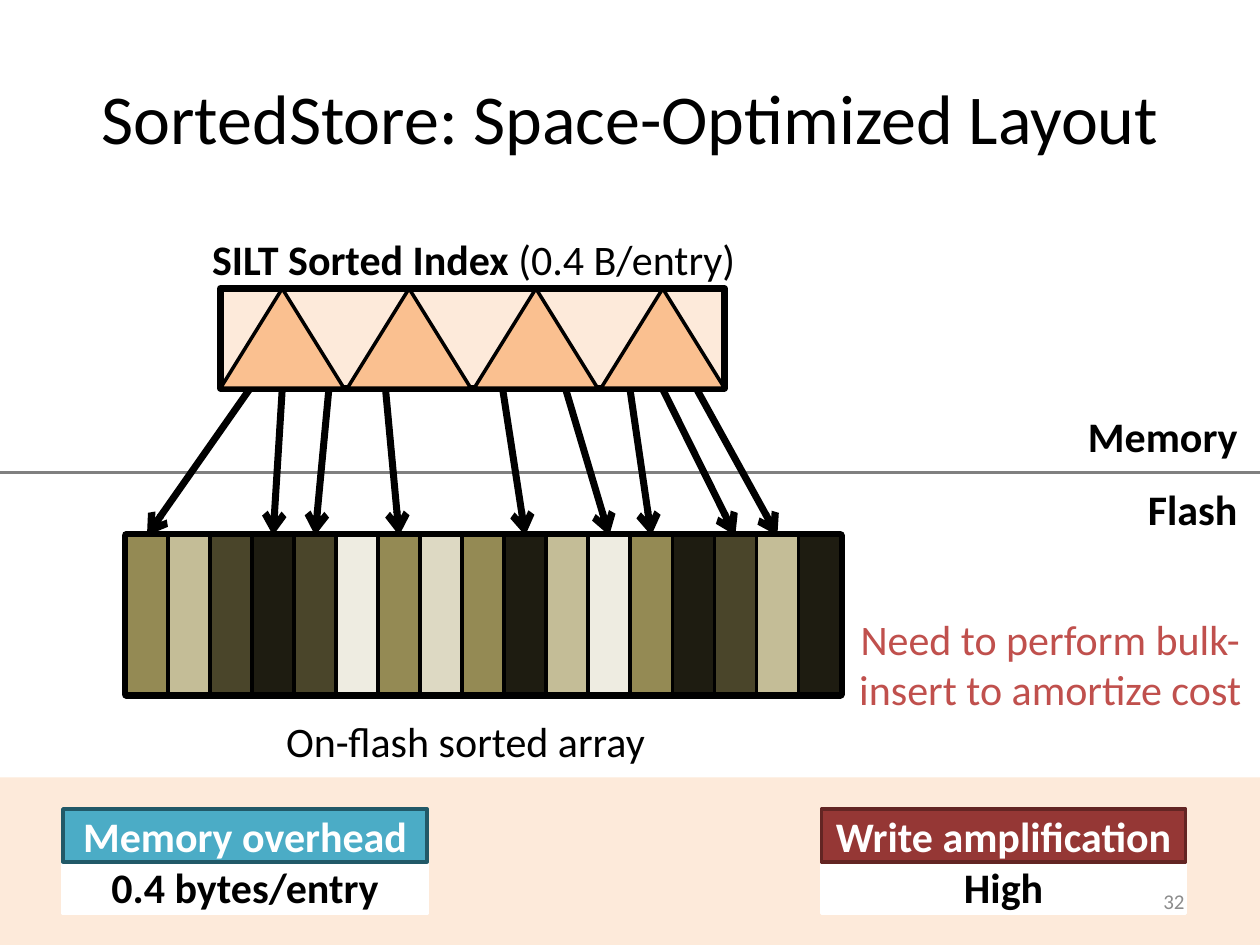
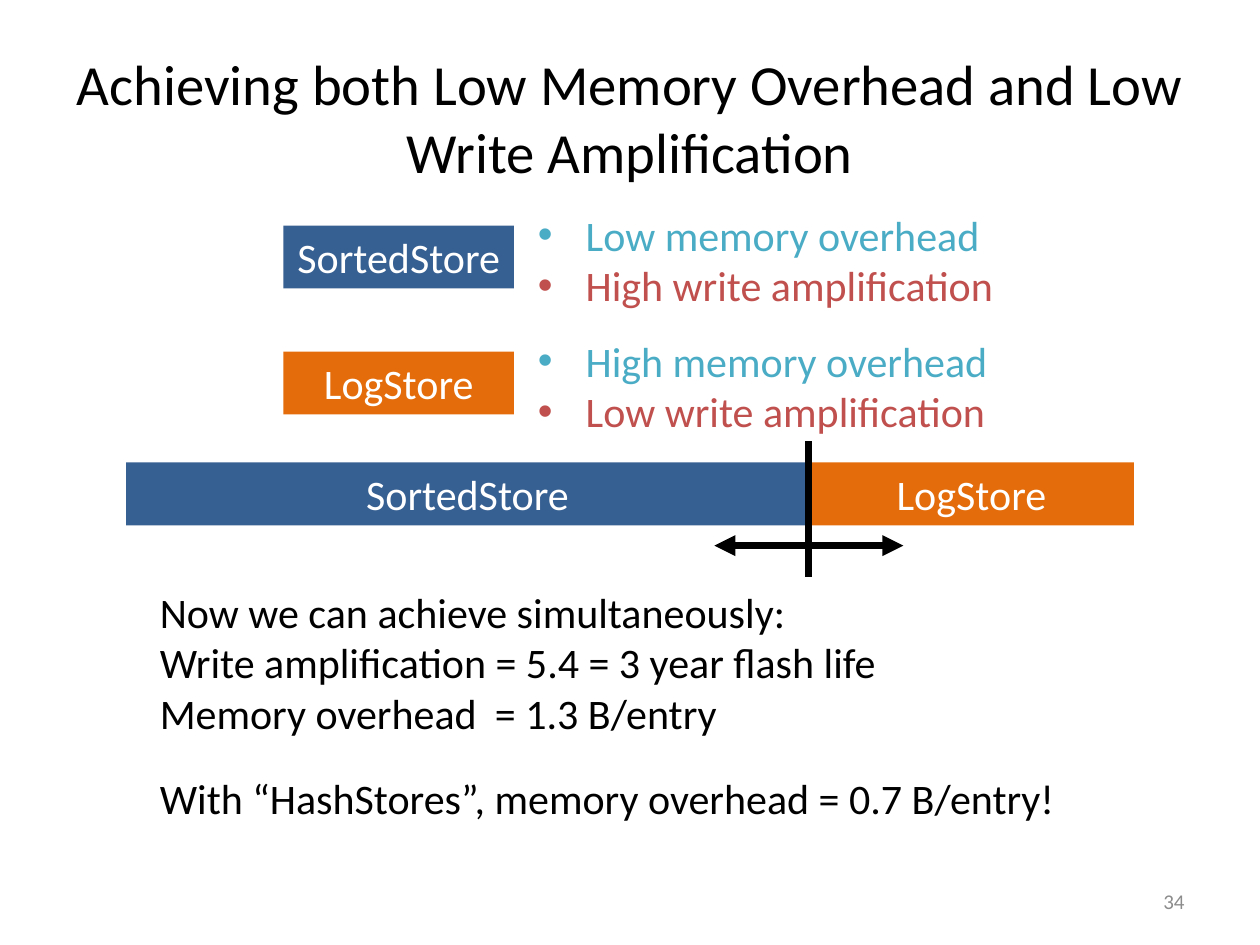
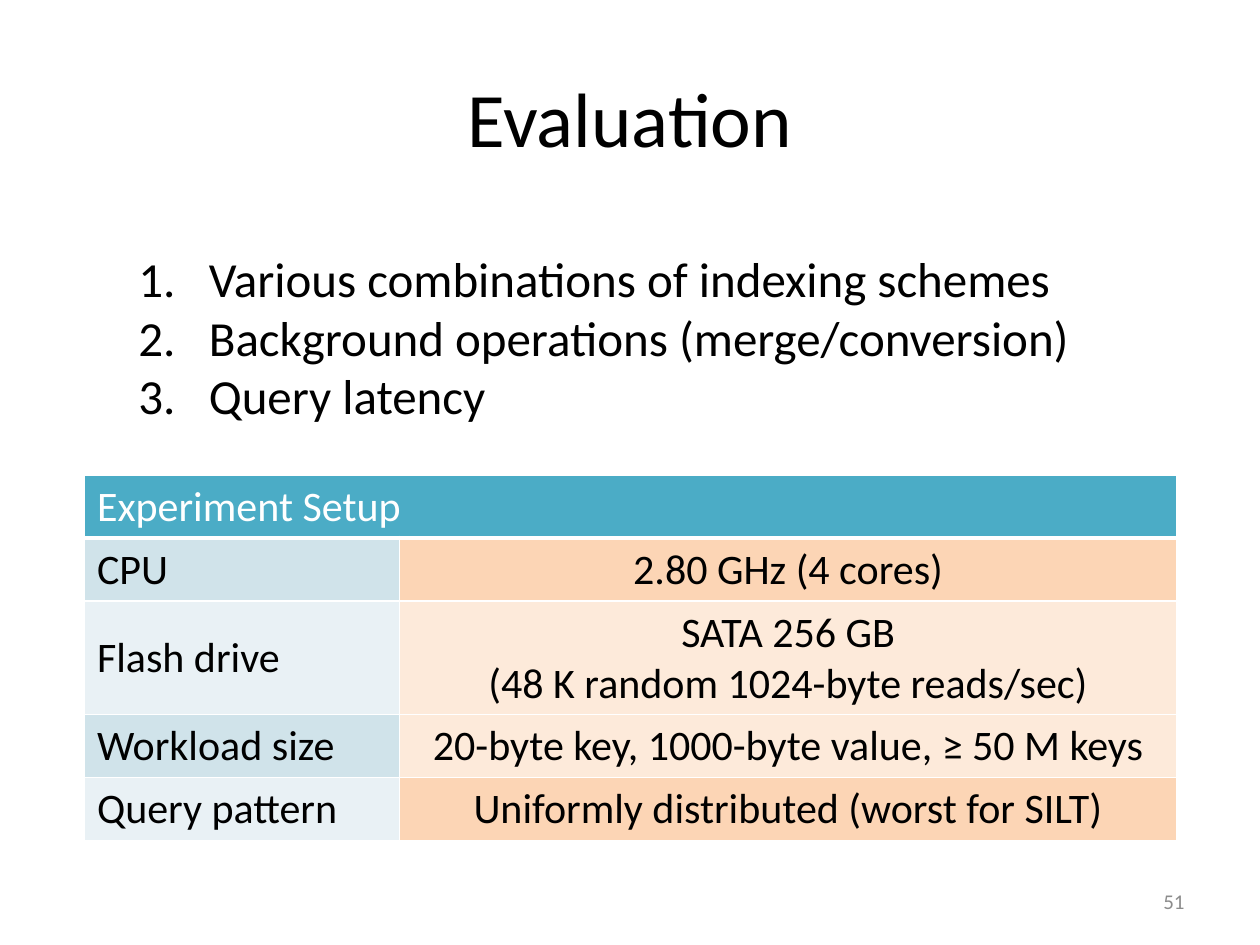
from dataclasses import dataclass
from typing import Optional, Sequence

from lxml.etree import SubElement
from pptx import Presentation
from pptx.dml.color import RGBColor
from pptx.enum.shapes import MSO_CONNECTOR, MSO_SHAPE
from pptx.enum.text import MSO_ANCHOR, PP_ALIGN
from pptx.oxml.ns import qn
from pptx.util import Inches, Pt


# Shared look
@dataclass(frozen=True)
class Theme:
    font: str = "Calibri"
    black: str = "000000"
    white: str = "FFFFFF"
    divider: str = "808080"
    page_number: str = "8C8C8C"
    memory: str = "4BACC6"
    memory_edge: str = "215968"
    amplification: str = "953735"
    amplification_edge: str = "632523"
    warning: str = "C0504D"
    sorted_store: str = "376092"
    log_store: str = "E46C0A"
    pale_orange: str = "FDEADA"
    light_orange: str = "FCD5B5"
    orange: str = "FAC090"
    pale_blue: str = "E9F1F5"
    light_blue: str = "D0E3EA"
    olive: str = "948A54"
    tan: str = "C4BD97"
    brown: str = "4A452A"
    dark: str = "1E1C11"
    cream: str = "EEECE1"
    sand: str = "DDD9C3"
    title: float = 44
    long_title: float = 40
    two_line_title: float = 32.4
    body: float = 24
    topics: float = 28
    small: float = 12


THEME = Theme()


@dataclass(frozen=True)
class Box:
    left: float
    top: float
    width: float
    height: float

    def lengths(self) -> list:
        return [Inches(n) for n in (self.left, self.top, self.width, self.height)]


@dataclass(frozen=True)
class TextStyle:
    size: float = THEME.body
    color: str = THEME.black
    bold: bool = False
    align: PP_ALIGN = PP_ALIGN.LEFT
    anchor: MSO_ANCHOR = MSO_ANCHOR.MIDDLE
    margin: float = 0.1


@dataclass(frozen=True)
class Line:
    text: str
    color: Optional[str] = None
    bullet: Optional[str] = None  # "•" for a dot, "1." for numbering
    indent: float = 0
    tab: Optional[float] = None
    bold_lead: str = ""


@dataclass(frozen=True)
class Edge:
    color: str
    width: float


@dataclass(frozen=True)
class Stat:
    left: float
    name: str
    value: str
    fill: str
    edge: str


@dataclass(frozen=True)
class Pointer:
    start: float
    entry: int


@dataclass(frozen=True)
class Store:
    name: str
    fill: str
    top: float
    bar_left: float
    bar_width: float
    memory: str
    amplification: str


@dataclass(frozen=True)
class SetupRow:
    name: str
    value: str
    height: float
    name_fill: str
    value_fill: str


CENTERED = TextStyle(align=PP_ALIGN.CENTER)
BAR_TEXT = TextStyle(color=THEME.white, align=PP_ALIGN.CENTER, margin=0.05)
STAT_NAME = TextStyle(color=THEME.white, bold=True, align=PP_ALIGN.CENTER, margin=0.05)
STAT_VALUE = TextStyle(bold=True, align=PP_ALIGN.CENTER)


# Drawing helpers
def set_fonts(paragraph, style: TextStyle, color: Optional[str] = None) -> None:
    paragraph.alignment = style.align
    font = paragraph.font
    font.name, font.size, font.bold = THEME.font, Pt(style.size), style.bold
    font.color.rgb = RGBColor.from_string(color or style.color)


def add_list_marks(paragraph, line: Line, color: str) -> None:
    properties = paragraph._p.get_or_add_pPr()
    if line.bullet:
        properties.set("marL", str(Inches(line.indent)))
        properties.set("indent", str(-Inches(line.indent)))
        tint = SubElement(properties, qn("a:buClr"))
        SubElement(tint, qn("a:srgbClr"), val=color)
        if line.bullet == "1.":
            SubElement(properties, qn("a:buFont"), typeface=THEME.font)
            SubElement(properties, qn("a:buAutoNum"), type="arabicPeriod")
        else:
            SubElement(properties, qn("a:buFont"), typeface="Arial")
            SubElement(properties, qn("a:buChar"), char=line.bullet)
    if line.tab:
        stops = SubElement(properties, qn("a:tabLst"))
        SubElement(stops, qn("a:tab"), pos=str(Inches(line.tab)), algn="l")


def fill_frame(frame, lines: Sequence[Line], style: TextStyle) -> None:
    frame.word_wrap = True
    frame.vertical_anchor = style.anchor
    frame.margin_left = frame.margin_right = Inches(style.margin)
    frame.margin_top = frame.margin_bottom = 0
    for number, line in enumerate(lines):
        paragraph = frame.add_paragraph() if number else frame.paragraphs[0]
        add_list_marks(paragraph, line, line.color or style.color)
        set_fonts(paragraph, style, line.color)
        if line.bold_lead:
            lead = paragraph.add_run()
            lead.text, lead.font.bold = line.bold_lead, True
        paragraph.add_run().text = line.text


def add_text(slide, box: Box, lines: Sequence[Line], style: TextStyle) -> None:
    fill_frame(slide.shapes.add_textbox(*box.lengths()).text_frame, lines, style)


def add_block(slide, box: Box, fill: Optional[str] = None, edge: Optional[Edge] = None,
              text: str = "", style: TextStyle = BAR_TEXT,
              outline: MSO_SHAPE = MSO_SHAPE.RECTANGLE) -> None:
    block = slide.shapes.add_shape(outline, *box.lengths())
    block.shadow.inherit = False
    if fill:
        block.fill.solid()
        block.fill.fore_color.rgb = RGBColor.from_string(fill)
    else:
        block.fill.background()
    if edge:
        block.line.color.rgb = RGBColor.from_string(edge.color)
        block.line.width = Pt(edge.width)
    else:
        block.line.fill.background()
    if text:
        fill_frame(block.text_frame, [Line(text)], style)


def add_line(slide, start: tuple[float, float], end: tuple[float, float], edge: Edge,
             head: Optional[str] = None, tail: Optional[str] = None) -> None:
    points = [Inches(n) for n in (*start, *end)]
    connector = slide.shapes.add_connector(MSO_CONNECTOR.STRAIGHT, *points)
    connector.line.color.rgb = RGBColor.from_string(edge.color)
    connector.line.width = Pt(edge.width)
    for tag, kind in (("a:headEnd", head), ("a:tailEnd", tail)):
        if kind:
            SubElement(connector.line._get_or_add_ln(), qn(tag), type=kind)
    SubElement(connector._element.spPr, qn("a:effectLst"))


def add_page(deck, title: str, title_size: float):
    slide = deck.slides.add_slide(deck.slide_layouts[6])
    style = TextStyle(size=title_size, align=PP_ALIGN.CENTER)
    add_text(slide, Box(0.5, 0.3, 9, 1.25), [Line(title)], style)
    return slide


def add_page_number(slide, number: int) -> None:
    style = TextStyle(THEME.small, THEME.page_number, align=PP_ALIGN.RIGHT)
    add_text(slide, Box(7.17, 6.95, 2.33, 0.4), [Line(str(number))], style)


# Slide: sorted index in memory, sorted array on flash
STATS = (
    Stat(0.5, "Memory overhead", "0.4 bytes/entry", THEME.memory, THEME.memory_edge),
    Stat(6.52, "Write amplification", "High", THEME.amplification, THEME.amplification_edge),
)
ENTRY_FILLS = (
    THEME.olive, THEME.tan, THEME.brown, THEME.dark, THEME.brown, THEME.cream,
    THEME.olive, THEME.sand, THEME.olive, THEME.dark, THEME.tan, THEME.cream,
    THEME.olive, THEME.dark, THEME.brown, THEME.tan, THEME.dark,
)
POINTERS = (
    Pointer(1.98, 0), Pointer(2.24, 3), Pointer(2.61, 4), Pointer(3.06, 6),
    Pointer(3.99, 9), Pointer(4.49, 11), Pointer(5, 12), Pointer(5.26, 14),
    Pointer(5.53, 15),
)


def build_sorted_store(deck) -> None:
    slide = add_page(deck, "SortedStore: Space-Optimized Layout", THEME.long_title)
    thin, thick = Edge(THEME.black, 2), Edge(THEME.black, 4)
    array = Box(1, 4.25, 5.67, 1.26)
    index = Box(1.75, 2.29, 4, 0.79)

    # Memory and flash areas
    add_line(slide, (0, 3.75), (10, 3.75), Edge(THEME.divider, 1.5))
    area = TextStyle(bold=True, align=PP_ALIGN.RIGHT)
    add_text(slide, Box(8.42, 3.25, 1.5, 0.42), [Line("Memory")], area)
    add_text(slide, Box(9, 3.83, 0.92, 0.42), [Line("Flash")], area)

    # Cost band
    add_block(slide, Box(0, 6.17, 10, 1.33), THEME.pale_orange)
    for stat in STATS:
        add_block(slide, Box(stat.left, 6.83, 2.89, 0.42), THEME.white,
                  Edge(THEME.white, 2), stat.value, STAT_VALUE)
        add_block(slide, Box(stat.left, 6.42, 2.89, 0.42), stat.fill,
                  Edge(stat.edge, 2), stat.name, STAT_NAME)

    # Sorted array
    add_block(slide, array, edge=Edge(THEME.black, 5))
    entry_width = array.width / len(ENTRY_FILLS)
    for number, fill in enumerate(ENTRY_FILLS):
        left = array.left + number * entry_width
        add_block(slide, Box(left, array.top, entry_width, array.height), fill, thin)
    add_text(slide, Box(2.06, 5.67, 3.27, 0.42), [Line("On-flash sorted array")], CENTERED)

    # Index of tries
    add_block(slide, index, THEME.pale_orange, thick)
    trie_count, trie_width = 4, 0.98
    pitch = (index.width - trie_width) / (trie_count - 1)
    for number in range(trie_count):
        add_block(slide, Box(index.left + number * pitch, index.top, trie_width, index.height),
                  THEME.orange, thin, outline=MSO_SHAPE.ISOSCELES_TRIANGLE)
    add_text(slide, Box(1.33, 1.82, 4.86, 0.47),
             [Line(" (0.4 B/entry)", bold_lead="SILT Sorted Index")], CENTERED)
    for pointer in POINTERS:
        target = array.left + (pointer.entry + 0.5) * entry_width
        add_line(slide, (pointer.start, 3.09), (target, array.top), thick, tail="arrow")

    add_text(slide, Box(6.67, 4.62, 3.33, 1.3),
             [Line("Need to perform bulk-insert to amortize cost", THEME.warning)], CENTERED)
    add_page_number(slide, 32)


# Slide: combining the two stores
STORES = (
    Store("SortedStore", THEME.sorted_store, 1.79, 1, 5.42,
          "Low memory overhead", "High write amplification"),
    Store("LogStore", THEME.log_store, 2.79, 6.42, 2.58,
          "High memory overhead", "Low write amplification"),
)


def build_combination(deck) -> None:
    slide = add_page(deck, "Achieving both Low Memory Overhead and Low Write Amplification",
                     THEME.two_line_title)
    for store in STORES:
        add_block(slide, Box(2.25, store.top, 1.83, 0.5), store.fill, text=store.name)
        add_block(slide, Box(store.bar_left, 3.67, store.bar_width, 0.5), store.fill,
                  text=store.name)
        traits = [Line(store.memory, THEME.memory, "•", 0.38),
                  Line(store.amplification, THEME.warning, "•", 0.38)]
        add_text(slide, Box(4.17, store.top - 0.17, 4.67, 0.88), traits, TextStyle())

    # Movable boundary
    boundary = STORES[1].bar_left
    thick = Edge(THEME.black, 4)
    add_line(slide, (boundary, 3.5), (boundary, 4.58), thick)
    add_line(slide, (boundary - 0.75, 4.33), (boundary + 0.75, 4.33), thick,
             "triangle", "triangle")

    # Results
    results = [Line("Now we can achieve simultaneously:"),
               Line("Write amplification = 5.4 = 3 year flash life"),
               Line("Memory overhead\t= 1.3 B/entry", tab=2.66)]
    add_text(slide, Box(1.17, 4.67, 7, 1.17), results, TextStyle())
    add_text(slide, Box(1.17, 6.13, 7.83, 0.42),
             [Line("With “HashStores”, memory overhead = 0.7 B/entry!")],
             TextStyle(anchor=MSO_ANCHOR.TOP))
    add_page_number(slide, 34)


# Slide: evaluation topics and setup
TOPICS = ("Various combinations of indexing schemes",
          "Background operations (merge/conversion)",
          "Query latency")
SETUP = (
    SetupRow("CPU", "2.80 GHz (4 cores)", 0.5, THEME.light_blue, THEME.light_orange),
    SetupRow("Flash drive", "SATA 256 GB\v(48 K random 1024-byte reads/sec)", 0.9,
             THEME.pale_blue, THEME.pale_orange),
    SetupRow("Workload size", "20-byte key, 1000-byte value, ≥ 50 M keys", 0.5,
             THEME.light_blue, THEME.pale_orange),
    SetupRow("Query pattern", "Uniformly distributed (worst for SILT)", 0.5,
             THEME.pale_blue, THEME.light_orange),
)


def fill_cell(cell, text: str, fill: str, style: TextStyle, bottom: float = 1,
              top: float = 1) -> None:
    properties = cell._tc.get_or_add_tcPr()
    for tag, width in (("a:lnL", 1), ("a:lnR", 1), ("a:lnT", top), ("a:lnB", bottom)):
        border = SubElement(properties, qn(tag), w=str(Pt(width)))
        SubElement(SubElement(border, qn("a:solidFill")), qn("a:srgbClr"), val=THEME.white)
    cell.fill.solid()
    cell.fill.fore_color.rgb = RGBColor.from_string(fill)
    cell.vertical_anchor = style.anchor
    paragraph = cell.text_frame.paragraphs[0]
    set_fonts(paragraph, style)
    paragraph.text = text


def build_evaluation(deck) -> None:
    slide = add_page(deck, "Evaluation", THEME.title)
    add_text(slide, Box(1, 1.97, 8, 1.42),
             [Line(topic, bullet="1.", indent=0.56) for topic in TOPICS],
             TextStyle(THEME.topics, anchor=MSO_ANCHOR.TOP))

    # Setup table
    frame = slide.shapes.add_table(len(SETUP) + 1, 2, *Box(0.67, 3.77, 8.67, 2.9).lengths())
    table = frame.table
    table.first_row = table.horz_banding = False
    for column, width in zip(table.columns, (2.5, 6.17)):
        column.width = Inches(width)
    table.rows[0].height = Inches(0.5)
    table.cell(0, 0).merge(table.cell(0, 1))
    fill_cell(table.cell(0, 0), "Experiment Setup", THEME.memory,
              TextStyle(color=THEME.white), bottom=3)
    for number, row in enumerate(SETUP, start=1):
        table.rows[number].height = Inches(row.height)
        top = 3 if number == 1 else 1
        fill_cell(table.cell(number, 0), row.name, row.name_fill, TextStyle(), top=top)
        fill_cell(table.cell(number, 1), row.value, row.value_fill, CENTERED, top=top)
    add_page_number(slide, 51)


def main() -> None:
    deck = Presentation()
    deck.slide_width, deck.slide_height = Inches(10), Inches(7.5)
    build_sorted_store(deck)
    build_combination(deck)
    build_evaluation(deck)
    deck.save("out.pptx")


if __name__ == "__main__":
    main()
